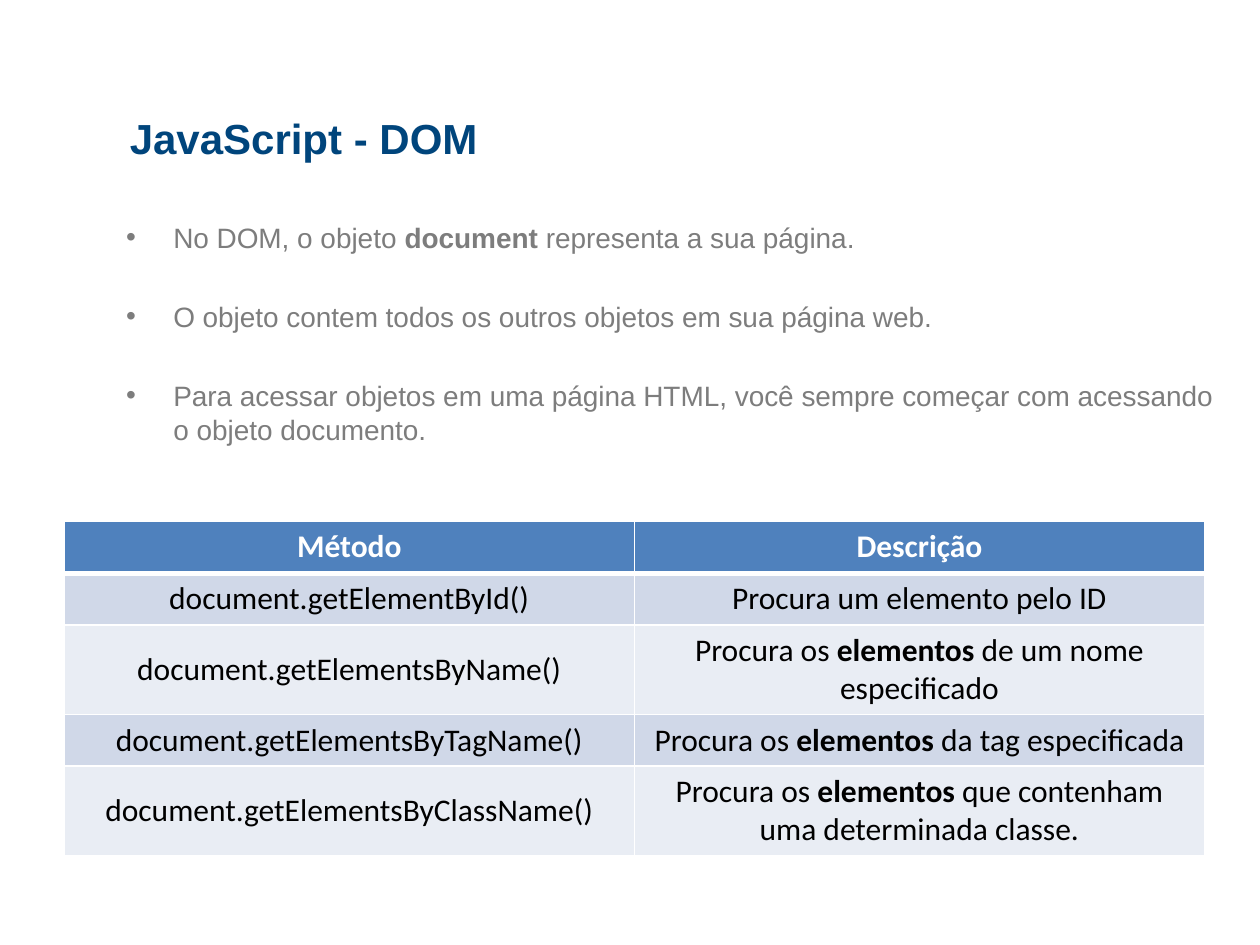
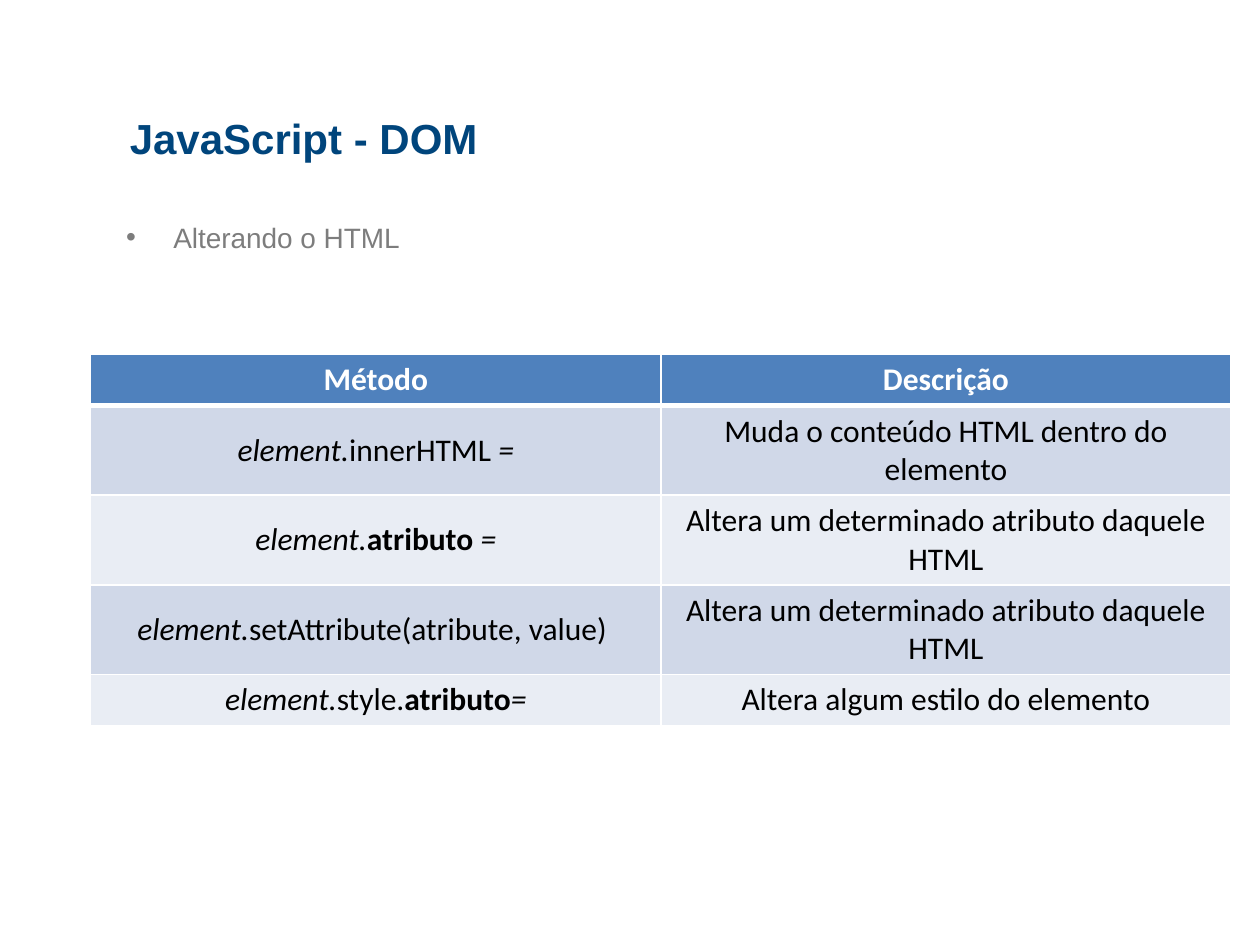
from lxml.etree import SubElement
from pptx import Presentation
from pptx.dml.color import RGBColor
from pptx.enum.text import MSO_ANCHOR as Anchor, MSO_AUTO_SIZE as AutoSize, PP_ALIGN as Align
from pptx.oxml.ns import qn
from pptx.util import Inches, Pt

WIDTH, HEIGHT = Inches(10), Inches(7.5)
COLUMNS, ROWS = 100, 75
TITLE_AREA = (9.3, 8.4, 86.2, 8.7)
BODY_AREA = (9, 17, 90, 55.1)
TABLE_WIDTH, ROW_HEIGHT = 90.5, 4.1
WHITE, BLACK = "FFFFFF", "000000"
HEADER_FILL, BAND_FILLS = "4F81BD", ("D0D8E8", "E9EDF4")

TITLE_FONT = {"name": "Arial", "size": Pt(24), "bold": True, "color": "00457C"}
BODY_FONT = {"name": "Arial", "size": Pt(16), "color": "7D7D7D"}
CELL_FONT = {"name": "Calibri", "size": Pt(18), "bold": False, "color": BLACK}
HEADER_FONT = {**CELL_FONT, "bold": True, "color": WHITE}
MARKS = {"*": "bold", "/": "italic"}

TITLE = "JavaScript - DOM"
HEADER = ("Método", "Descrição")

# In texts, "|" parts the runs; a run led by "*" is bold, by "/" italic.
ACCESS_POINTS = [
    "No DOM, o objeto |*document| representa a sua página.",
    "O objeto contem todos os outros objetos em sua página web.",
    "Para acessar objetos em uma página HTML, você sempre começar com "
    "acessando o objeto documento.",
]
ACCESS_METHODS = [
    ("document.getElementById()", "Procura um elemento pelo ID"),
    ("document.getElementsByName()",
     "Procura os |*elementos |de um nome especificado"),
    ("document.getElementsByTagName()",
     "Procura os |*elementos |da tag especificada"),
    ("document.getElementsByClassName()",
     "Procura os |*elementos| que contenham uma determinada classe."),
]
CHANGE_POINTS = ["Alterando o HTML"]
CHANGE_METHODS = [
    ("/element.|innerHTML|/ =", "Muda o conteúdo HTML dentro do elemento"),
    ("/element.|*atributo|/ =", "Altera um determinado atributo daquele HTML"),
    ("/element.|setAttribute(atribute, value) ",
     "Altera um determinado atributo daquele HTML"),
    ("/element.|style.|*atributo|/=", "Altera algum estilo do elemento"),
]


def color(value):
    """Turn a hex string into a colour."""
    return RGBColor.from_string(value)


def grid(*cells):
    """Turn left, top, width and height in grid cells into lengths."""
    steps = (WIDTH / COLUMNS, HEIGHT / ROWS) * 2
    return [round(count * step) for count, step in zip(cells, steps)]


def apply(target, values):
    """Set the attributes of an object from a dict."""
    for name, value in values.items():
        if name == "color":
            target.color.rgb = color(value)
        else:
            setattr(target, name, value)


def write(para, text, font):
    """Fill a paragraph with the marked runs of a text."""
    for part in text.split("|"):
        mark = MARKS.get(part[0])
        span = para.add_run()
        span.text = part[1:] if mark else part
        apply(span.font, {**font, mark: True} if mark else font)


def settle(box, area):
    """Move a placeholder and anchor its text at the top."""
    apply(box, dict(zip(("left", "top", "width", "height"), grid(*area))))
    apply(box.text_frame, {"vertical_anchor": Anchor.TOP, "word_wrap": True,
                           "auto_size": AutoSize.NONE})


def add_title(page):
    """Write the title that the slides share."""
    box = page.shapes.title
    settle(box, TITLE_AREA)
    para = box.text_frame.paragraphs[0]
    para.alignment = Align.LEFT
    write(para, TITLE, TITLE_FONT)


def add_points(page, points):
    """Write the bullet list, with wide gaps between its points."""
    box = page.placeholders[1]
    settle(box, BODY_AREA)
    frame = box.text_frame
    for index, point in enumerate(points):
        para = frame.add_paragraph() if index else frame.paragraphs[0]
        para.space_before = Pt(26 if index else 3)
        write(para, point, BODY_FONT)


def add_borders(cell, bottom):
    """Draw white borders; the bottom one has its own width in points."""
    properties = cell._tc.get_or_add_tcPr()
    widths = {"a:lnL": 1, "a:lnR": 1, "a:lnT": 1, "a:lnB": bottom}
    for index, (tag, width) in enumerate(widths.items()):
        line = properties.makeelement(qn(tag), {"w": str(Pt(width))})
        fill = SubElement(line, qn("a:solidFill"))
        SubElement(fill, qn("a:srgbClr"), {"val": WHITE})
        properties.insert(index, line)


def fill_cell(cell, text, font, fill, anchor, bottom=1):
    """Write and format one table cell."""
    cell.fill.solid()
    cell.fill.fore_color.rgb = color(fill)
    cell.vertical_anchor = anchor
    para = cell.text_frame.paragraphs[0]
    para.alignment = Align.CENTER
    write(para, text, font)
    add_borders(cell, bottom)


def add_methods(page, left, top, methods):
    """Add the table of methods under its header row."""
    count = len(methods) + 1
    area = grid(left, top, TABLE_WIDTH, ROW_HEIGHT * count)
    table = page.shapes.add_table(count, len(HEADER), *area).table
    for column, text in enumerate(HEADER):
        fill_cell(table.cell(0, column), text, HEADER_FONT, HEADER_FILL,
                  Anchor.TOP, bottom=3)
    for row, texts in enumerate(methods, 1):
        fill = BAND_FILLS[(row - 1) % 2]
        for column, text in enumerate(texts):
            fill_cell(table.cell(row, column), text, CELL_FONT, fill,
                      Anchor.MIDDLE)


def add_page(deck, points, left, top, methods):
    """Add a slide with title, bullet list and table."""
    page = deck.slides.add_slide(deck.slide_layouts[1])
    page.background.fill.solid()
    page.background.fill.fore_color.rgb = color(WHITE)
    add_points(page, points)
    add_title(page)
    add_methods(page, left, top, methods)


def main():
    """Build the deck."""
    deck = Presentation()
    apply(deck, {"slide_width": WIDTH, "slide_height": HEIGHT})
    add_page(deck, ACCESS_POINTS, 5.1, 41.4, ACCESS_METHODS)
    add_page(deck, CHANGE_POINTS, 7.2, 28.1, CHANGE_METHODS)
    deck.save("out.pptx")


main()
